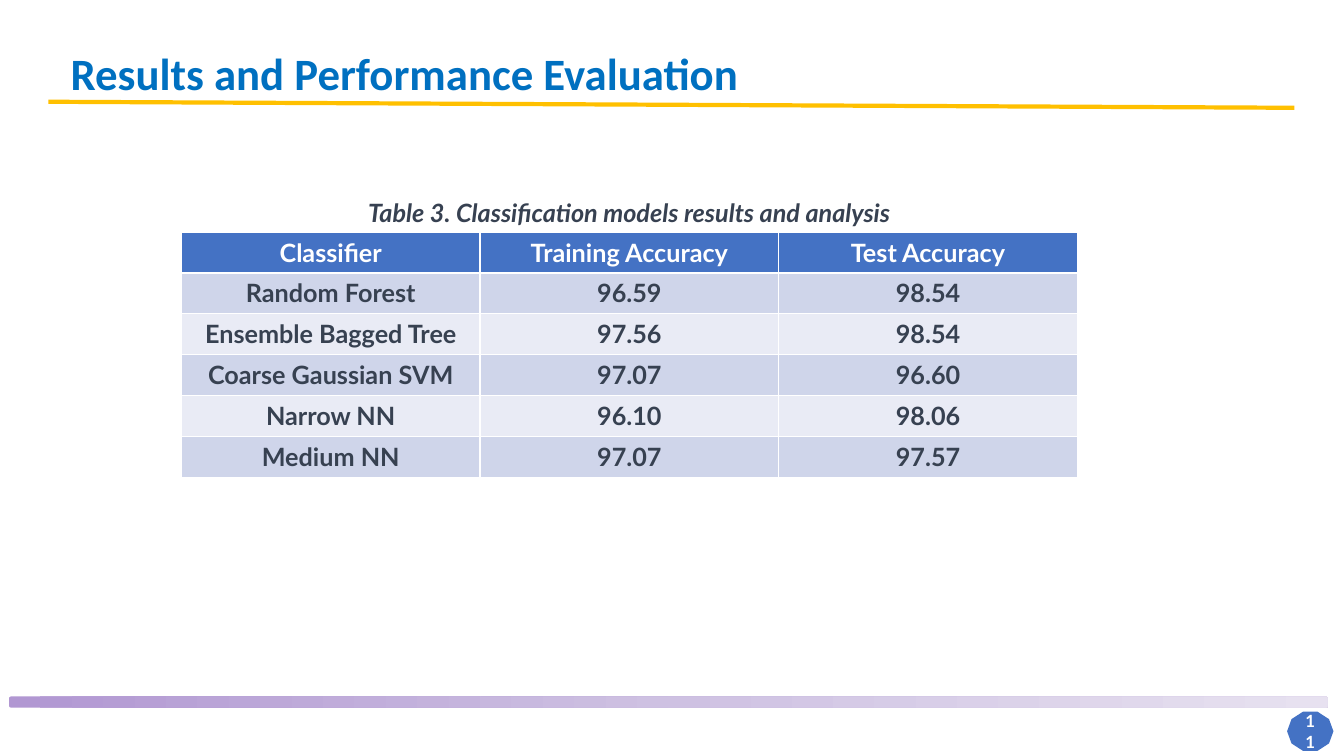
import copy

import pptx
import pptx.dml.color
import pptx.enum.shapes
import pptx.enum.text
import pptx.oxml.ns
import pptx.util
from lxml import etree

Pt = pptx.util.Pt
RGBColor = pptx.dml.color.RGBColor
SHAPE = pptx.enum.shapes.MSO_SHAPE
ALIGN = pptx.enum.text.PP_ALIGN
ANCHOR = pptx.enum.text.MSO_ANCHOR
AUTO_SIZE = pptx.enum.text.MSO_AUTO_SIZE

WHITE = RGBColor(0xFF, 0xFF, 0xFF)
TITLE_BLUE = RGBColor(0x00, 0x70, 0xC0)
ACCENT_BLUE = RGBColor(0x44, 0x72, 0xC4)
GOLD = RGBColor(0xFF, 0xC0, 0x00)
SLATE = RGBColor(0x37, 0x41, 0x51)
BAND_DARK = RGBColor(0xCF, 0xD5, 0xEA)
BAND_LIGHT = RGBColor(0xE9, 0xEB, 0xF5)
PURPLES = [
    RGBColor(0xB1, 0x97, 0xD2),
    RGBColor(0xCE, 0xC1, 0xE2),
    RGBColor(0xE7, 0xE1, 0xF0),
]

RESULTS = [
    ("Classifier", "Training Accuracy", "Test Accuracy"),
    ("Random Forest", "96.59", "98.54"),
    ("Ensemble Bagged Tree", "97.56", "98.54"),
    ("Coarse Gaussian SVM", "97.07", "96.60"),
    ("Narrow NN", "96.10", "98.06"),
    ("Medium NN", "97.07", "97.57"),
]


def write_text(frame, text, size, color, font="Lato", align=ALIGN.CENTER):
    frame.text = text
    para = frame.paragraphs[0]
    para.alignment = align
    span = para.runs[0]
    span.font.name = font
    span.font.size = Pt(size)
    span.font.bold = True
    span.font.color.rgb = color
    return span


deck = pptx.Presentation()
deck.slide_width = Pt(960)
deck.slide_height = Pt(540)
page = deck.slides.add_slide(deck.slide_layouts[5])

# Footer bar with a three-stop gradient
footer_bar = page.shapes.add_shape(
    SHAPE.ROUNDED_RECTANGLE, Pt(6.5), Pt(497.5), Pt(941.8), Pt(7.9))
footer_bar.shadow.inherit = False
footer_bar.line.fill.background()
footer_bar.fill.gradient()
footer_bar.fill.gradient_angle = 0
first_stop = footer_bar.fill._fill._gradFill.gsLst[0]
first_stop.addnext(copy.deepcopy(first_stop))
for index, (stop, purple) in enumerate(zip(footer_bar.fill.gradient_stops, PURPLES)):
    stop.position = index / 2
    stop.color.rgb = purple

# Title and its underline
underline = page.shapes.add_connector(
    pptx.enum.shapes.MSO_CONNECTOR.STRAIGHT, Pt(34.6), Pt(72.7), Pt(924.5), Pt(77))
underline.line.color.rgb = GOLD
underline.line.width = Pt(3)
etree.SubElement(underline._element.spPr, pptx.oxml.ns.qn("a:effectLst"))

title = page.shapes.title
title.left, title.top, title.width, title.height = Pt(43.2), Pt(28.8), Pt(496), Pt(46)
title.text_frame.word_wrap = False
title.text_frame.auto_size = AUTO_SIZE.SHAPE_TO_FIT_TEXT
title.text_frame.vertical_anchor = ANCHOR.TOP
write_text(title.text_frame, "Results and Performance Evaluation", 32, TITLE_BLUE,
           "Calibri", ALIGN.LEFT)

# Page number badge
badge = page.shapes.add_shape(SHAPE.DECAGON, Pt(919.4), Pt(508.3), Pt(33.1), Pt(28.1))
badge.shadow.inherit = False
badge.fill.solid()
badge.fill.fore_color.rgb = ACCENT_BLUE
badge.line.fill.background()
badge.text_frame.word_wrap = True
badge.text_frame.vertical_anchor = ANCHOR.MIDDLE
write_text(badge.text_frame, "11", 12, WHITE)

# Results table; the default table style draws the white cell borders
table = page.shapes.add_table(
    len(RESULTS), 3, Pt(129.6), Pt(165.8), Pt(640), Pt(175.2)).table
for row_index, values in enumerate(RESULTS):
    if row_index == 0:
        fill_color, text_color = ACCENT_BLUE, WHITE
    else:
        fill_color = BAND_DARK if row_index % 2 else BAND_LIGHT
        text_color = SLATE
    for column_index, value in enumerate(values):
        cell = table.cell(row_index, column_index)
        cell.fill.solid()
        cell.fill.fore_color.rgb = fill_color
        write_text(cell.text_frame, value, 18, text_color)

caption = page.shapes.add_textbox(Pt(209.5), Pt(137.5), Pt(480), Pt(29))
caption.text_frame.word_wrap = True
caption.text_frame.auto_size = AUTO_SIZE.SHAPE_TO_FIT_TEXT
caption_span = write_text(
    caption.text_frame, "Table 3. Classification models results and analysis", 18, SLATE)
caption_span.font.italic = True

deck.save("out.pptx")
